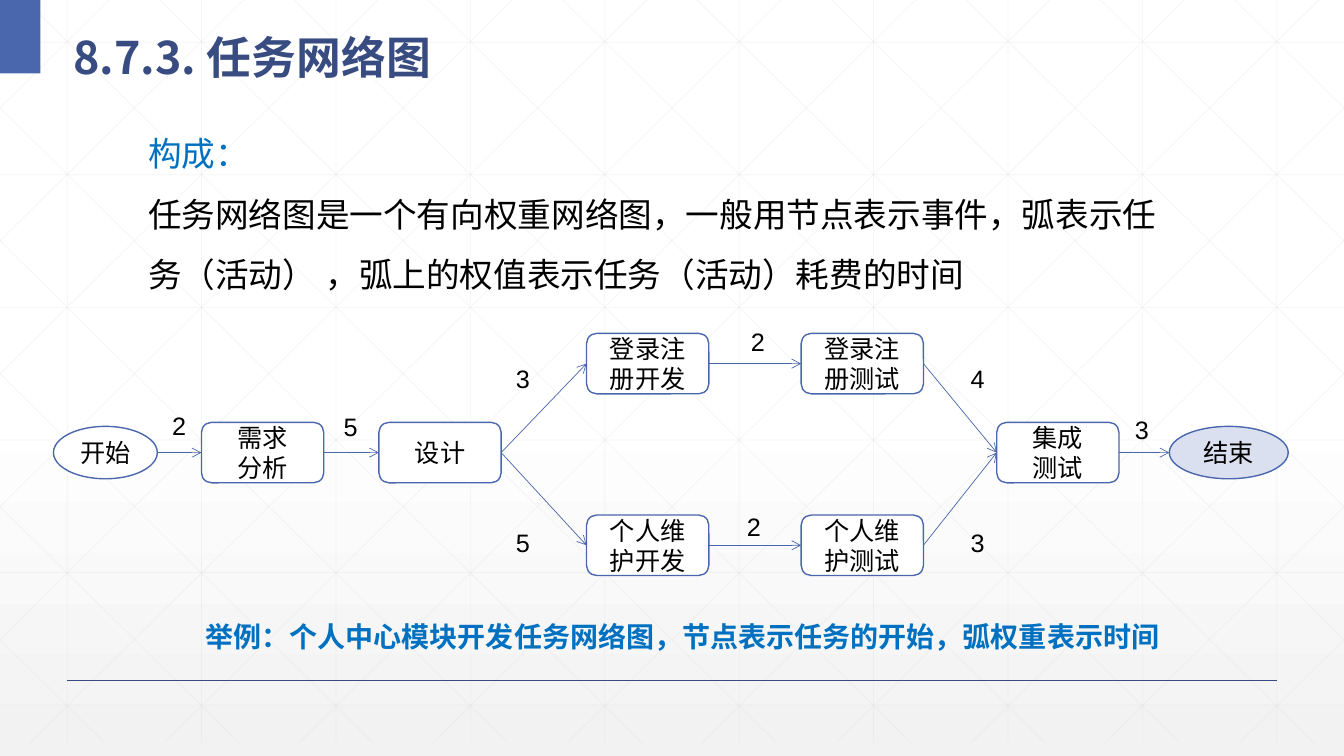
from dataclasses import dataclass

import pptx
import pptx.util
import pptx.dml.color
import pptx.enum.shapes
import pptx.enum.text
import pptx.oxml.ns
from lxml import etree

RGB = pptx.dml.color.RGBColor
SHAPE = pptx.enum.shapes.MSO_SHAPE
ALIGN = pptx.enum.text.PP_ALIGN
ANCHOR = pptx.enum.text.MSO_ANCHOR
qn = pptx.oxml.ns.qn

BLACK, WHITE = RGB(0, 0, 0), RGB(0xFF, 0xFF, 0xFF)
PAPER, GRID = RGB(0xF2, 0xF2, 0xF2), RGB(0xD9, 0xD9, 0xD9)
NAVY, ACCENT = RGB(0x38, 0x4C, 0x81), RGB(0x4A, 0x66, 0xAC)
PALE, BLUE = RGB(0xDA, 0xE0, 0xEF), RGB(0x00, 0x70, 0xC0)
CJK, LATIN = "Noto Sans CJK SC", "Arial"

# All lengths are hundredths of the slide's width (x) and height (y)
WIDTH, HEIGHT = pptx.util.Inches(13.33), pptx.util.Inches(7.5)
UPPER, MIDDLE, LOWER = 48.1, 59.87, 72.13
BOX_W, BOX_H, OVAL_H = 9.1, 8, 6.93
LABEL_W, LABEL_H = 2.55, 5.33


def px(share: float) -> int:
    return round(WIDTH * share / 100)


def py(share: float) -> int:
    return round(HEIGHT * share / 100)


@dataclass(frozen=True)
class Node:
    text: str
    x: float
    y: float
    w: float = BOX_W
    h: float = BOX_H
    oval: bool = False
    fill: RGB = WHITE


@dataclass(frozen=True)
class Arc:
    start: str
    end: str
    weight: str
    x: float
    y: float


NODES = {
    "start": Node("开始", 7.84, MIDDLE, 7.73, OVAL_H, True),
    "needs": Node("需求\n分析", 19.54, MIDDLE),
    "design": Node("设计", 32.74, MIDDLE),
    "login_dev": Node("登录注册开发", 48.19, UPPER),
    "profile_dev": Node("个人维护开发", 48.19, LOWER),
    "login_test": Node("登录注册测试", 64.16, UPPER),
    "profile_test": Node("个人维护测试", 64.16, LOWER),
    "integration": Node("集成\n测试", 78.71, MIDDLE),
    "finish": Node("结束", 91.43, MIDDLE, 8.85, OVAL_H, True, PALE),
}

# Each arc carries its weight and the centre of the weight's label
ARCS = [
    Arc("start", "needs", "2", 13.35, 56.27),
    Arc("needs", "design", "5", 26.1, 56.4),
    Arc("design", "login_dev", "3", 38.93, 50.13),
    Arc("design", "profile_dev", "5", 38.93, 71.73),
    Arc("login_dev", "login_test", "2", 56.4, 45.2),
    Arc("profile_dev", "profile_test", "2", 56.1, 69.6),
    Arc("login_test", "integration", "4", 72.75, 50.13),
    Arc("profile_test", "integration", "3", 72.75, 71.73),
    Arc("integration", "finish", "3", 84.98, 56.8),
]


def add_text(tf, text: str, *, size: float = 18, font: str = LATIN, colors=(BLACK,),
             bold: bool = False, align=ALIGN.LEFT, anchor=ANCHOR.TOP,
             spacing: float = 1, wrap: bool = True) -> None:
    """One paragraph per line; the last colour serves the remaining lines."""
    tf.word_wrap = wrap
    tf.vertical_anchor = anchor
    for i, line in enumerate(text.split("\n")):
        p = tf.paragraphs[0] if i == 0 else tf.add_paragraph()
        p.alignment = align
        p.line_spacing = spacing
        r = p.add_run()
        r.text = line
        r.font.size = pptx.util.Pt(size)
        r.font.name = font
        r.font.bold = bold
        r.font.color.rgb = colors[min(i, len(colors) - 1)]
        etree.SubElement(r.font._element, qn("a:ea"), typeface=font)


def add_box(s, x: float, y: float, w: float, h: float, text: str, **fmt) -> None:
    sp = s.shapes.add_textbox(px(x), py(y), px(w), py(h))
    add_text(sp.text_frame, text, **fmt)


def add_shape(s, kind, x: float, y: float, w: float, h: float, fill: RGB):
    sp = s.shapes.add_shape(kind, px(x), py(y), px(w), py(h))
    sp.shadow.inherit = False
    sp.fill.solid()
    sp.fill.fore_color.rgb = fill
    return sp


def add_line(s, x1: float, y1: float, x2: float, y2: float, color: RGB,
             width: float = 0.5, alpha: int = 100, arrow: bool = False):
    line = s.shapes.add_connector(pptx.enum.shapes.MSO_CONNECTOR.STRAIGHT,
                                  px(x1), py(y1), px(x2), py(y2))
    line.line.width = pptx.util.Pt(width)
    line.line.color.rgb = color
    ln = line._element.spPr.find(qn("a:ln"))
    if alpha < 100:
        etree.SubElement(ln.find(".//" + qn("a:srgbClr")), qn("a:alpha"), val=str(alpha * 1000))
    if arrow:
        etree.SubElement(ln, qn("a:tailEnd"), type="arrow")
    etree.SubElement(line._element.spPr, qn("a:effectLst"))
    return line


def draw_background(s) -> None:
    fill = s.background.fill
    fill.gradient()
    fill.gradient_angle = 270
    for stop, position, color in zip(fill.gradient_stops, (0.53, 1), (WHITE, PAPER)):
        stop.position = position
        stop.color.rgb = color

    bottom, run = 98.27, 55.9
    for i in range(10):
        add_line(s, 5 + 10 * i, 0, 5 + 10 * i, bottom, GRID, alpha=25)
    for j in range(6):
        y = 5.6 + 17.53 * j
        add_line(s, 0, y, 100, y, GRID, alpha=25)
    # Diagonals cut off at the slide's sides, each with its mirror image
    for k in range(-5, 10):
        x = 1.88 + 10 * k
        t1, t2 = max(0, -x / run), min(1, (100 - x) / run)
        x1, x2 = x + run * t1, x + run * t2
        add_line(s, x1, bottom * t1, x2, bottom * t2, GRID, alpha=25)
        add_line(s, 100 - x1, bottom * t1, 100 - x2, bottom * t2, GRID, alpha=25)


def draw_node(s, node: Node):
    kind = SHAPE.OVAL if node.oval else SHAPE.ROUNDED_RECTANGLE
    sp = add_shape(s, kind, node.x - node.w / 2, node.y - node.h / 2, node.w, node.h, node.fill)
    sp.line.color.rgb = ACCENT
    sp.line.width = pptx.util.Pt(1)
    add_text(sp.text_frame, node.text, align=ALIGN.CENTER, anchor=ANCHOR.MIDDLE)
    return sp


def draw_arc(s, arc: Arc, shapes: dict) -> None:
    a, b = NODES[arc.start], NODES[arc.end]
    line = add_line(s, a.x + a.w / 2, a.y, b.x - b.w / 2, b.y, ACCENT, arrow=True)
    # Only rectangles have their side middles as sites 0 to 3
    if not a.oval:
        line.begin_connect(shapes[arc.start], 3)
    if not b.oval:
        line.end_connect(shapes[arc.end], 1)
    add_box(s, arc.x - LABEL_W / 2, arc.y - LABEL_H / 2, LABEL_W, LABEL_H, arc.weight, wrap=False)


def main() -> None:
    prs = pptx.Presentation()
    prs.slide_width, prs.slide_height = WIDTH, HEIGHT
    s = prs.slides.add_slide(prs.slide_layouts[6])

    # Frame and title
    draw_background(s)
    add_line(s, 5, 90, 95, 90, NAVY, width=1)
    add_shape(s, SHAPE.RECTANGLE, 0, 0, 3, 9.73, ACCENT).line.fill.background()
    add_box(s, 4.73, 1.6, 91, 9.73, "8.7.3. 任务网络图", size=32, font=CJK, colors=(NAVY,),
            bold=True, anchor=ANCHOR.MIDDLE, spacing=1.3)

    # Explanation
    add_box(s, 10.28, 14.27, 78.23, 25.6,
            "构成：\n任务网络图是一个有向权重网络图，一般用节点表示事件，弧表示任务（活动） ，"
            "弧上的权值表示任务（活动）耗费的时间",
            size=24, colors=(BLUE, BLACK), spacing=1.5)

    # Task network
    shapes = {name: draw_node(s, node) for name, node in NODES.items()}
    for arc in ARCS:
        draw_arc(s, arc, shapes)
    add_box(s, 14.55, 81.33, 73.05, 5.87,
            "举例：个人中心模块开发任务网络图，节点表示任务的开始，弧权重表示时间",
            size=20, colors=(BLUE,), bold=True, wrap=False)

    prs.save("out.pptx")


if __name__ == "__main__":
    main()
